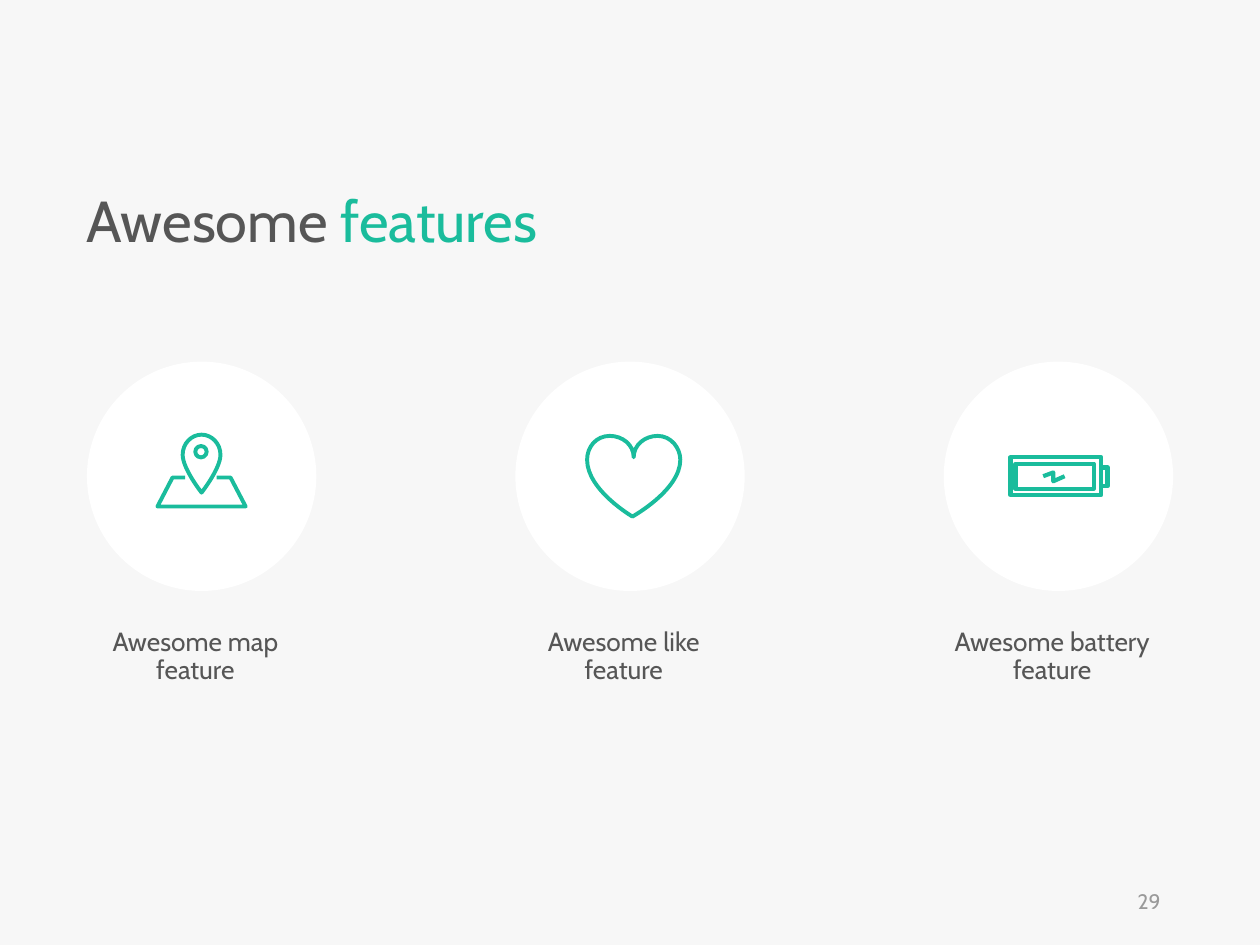
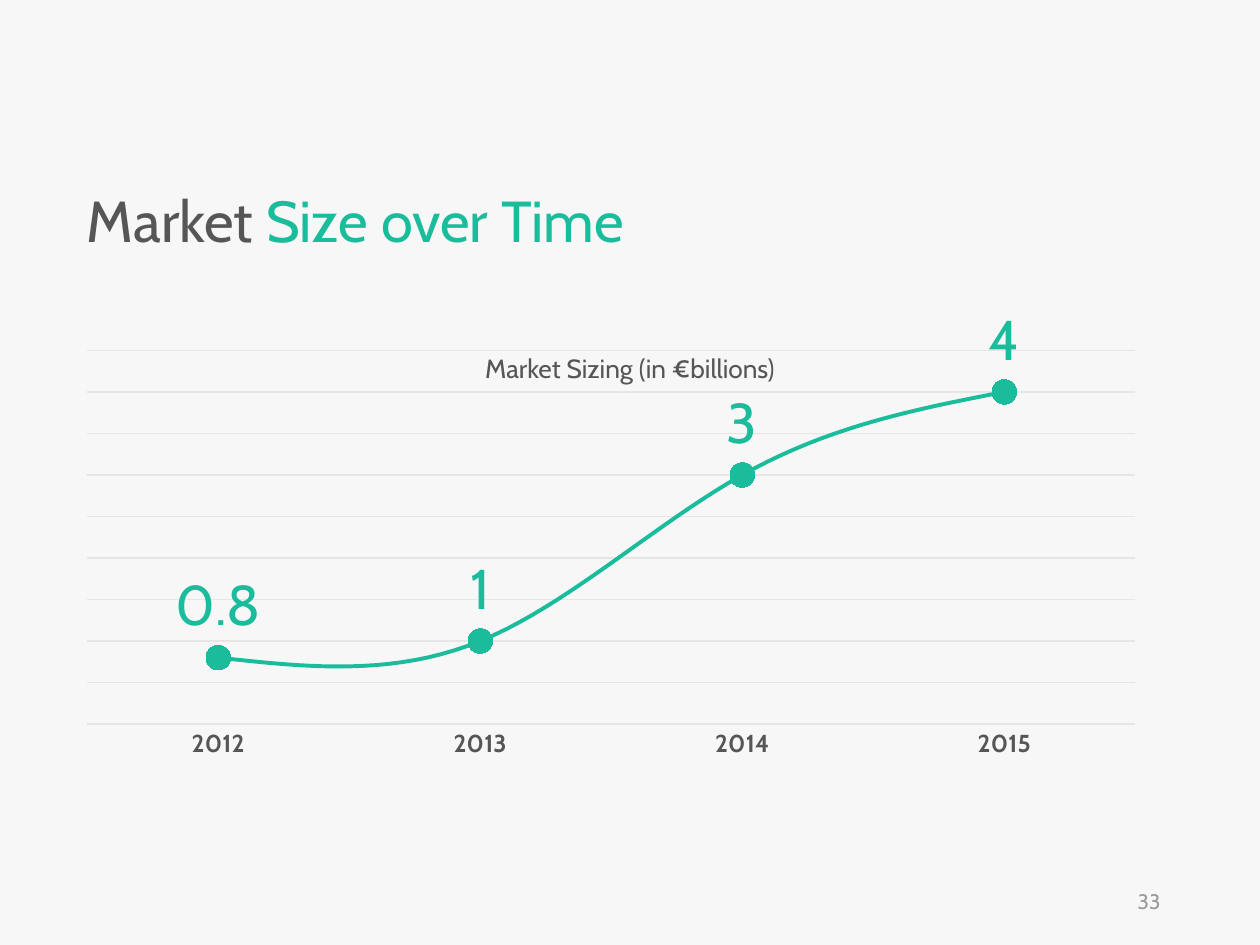
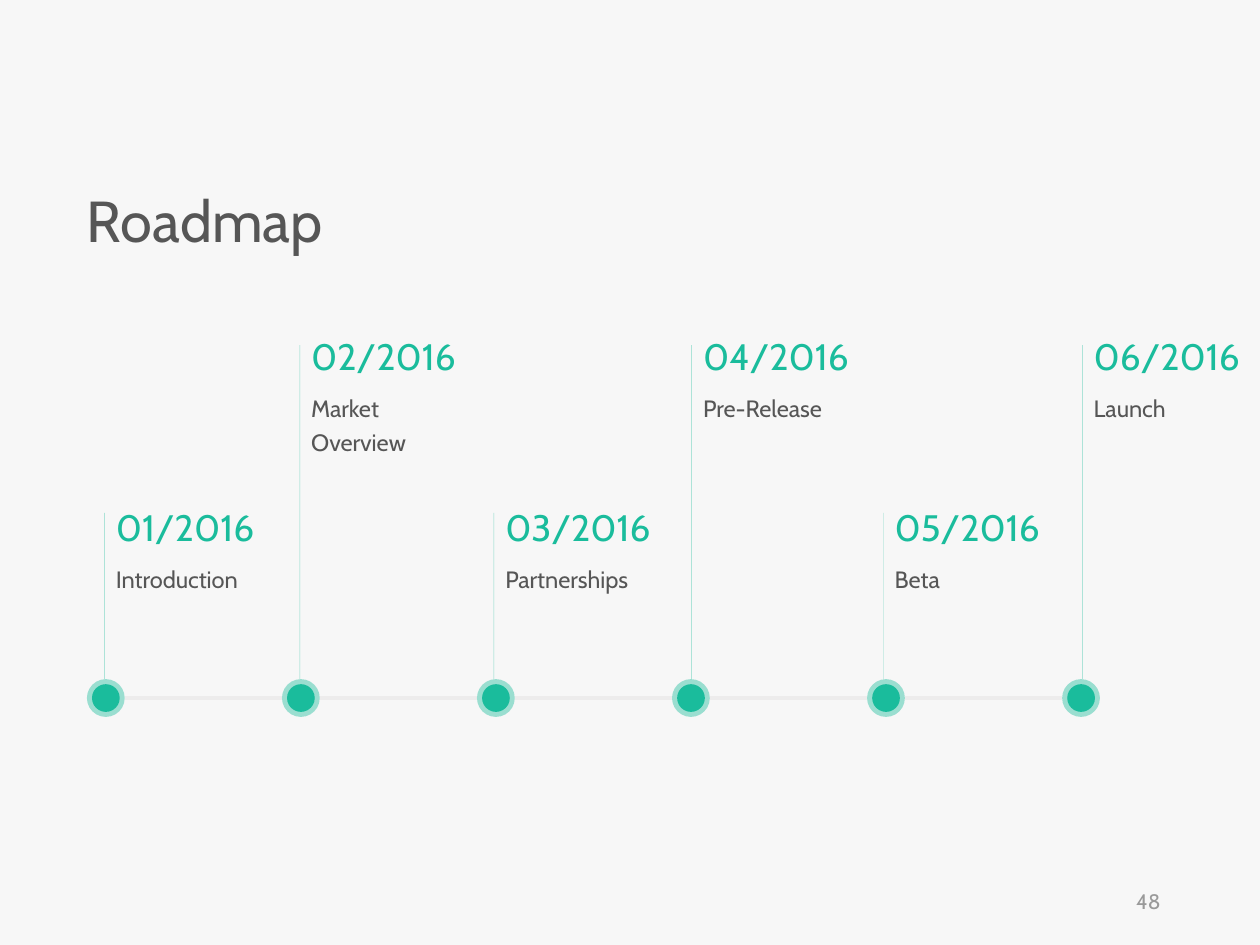
"""Build three pitch slides: features, market size and roadmap."""
from lxml import etree
from pptx import Presentation
from pptx.chart.data import CategoryChartData
from pptx.dml.color import RGBColor
from pptx.enum.chart import XL_CHART_TYPE, XL_LABEL_POSITION, XL_MARKER_STYLE, XL_TICK_MARK
from pptx.enum.shapes import MSO_CONNECTOR, MSO_SHAPE
from pptx.enum.text import MSO_ANCHOR, MSO_AUTO_SIZE, PP_ALIGN
from pptx.oxml.ns import qn
from pptx.util import Inches, Pt

OVAL, RECT = MSO_SHAPE.OVAL, MSO_SHAPE.RECTANGLE
STRAIGHT = MSO_CONNECTOR.STRAIGHT
LEFT, CENTER, RIGHT = PP_ALIGN.LEFT, PP_ALIGN.CENTER, PP_ALIGN.RIGHT
TOP, MIDDLE = MSO_ANCHOR.TOP, MSO_ANCHOR.MIDDLE
GROW, FIXED = MSO_AUTO_SIZE.SHAPE_TO_FIT_TEXT, MSO_AUTO_SIZE.NONE
NO_TICK = XL_TICK_MARK.NONE
LINES = XL_CHART_TYPE.LINE_MARKERS
ROUND = XL_MARKER_STYLE.CIRCLE
ABOVE = XL_LABEL_POSITION.ABOVE

TEAL = RGBColor(0x1A, 0xBC, 0x9C)
DARK = RGBColor(0x56, 0x56, 0x56)
GRAY = RGBColor(0x9A, 0x9A, 0x9A)
GRID = RGBColor(0xE6, 0xE6, 0xE6)
TRACK = RGBColor(0xED, 0xEC, 0xEC)
PALE = RGBColor(0xF7, 0xF7, 0xF7)
WHITE = RGBColor(0xFF, 0xFF, 0xFF)
FACE = "Cabin"
EDGE = 0.69

PIN = dict(
    weight=2.25,
    shapes=[(OVAL, (1.55, 3.54, 0.09, 0.09))],
    curves=[[(1.75, 3.61),
             (1.75, 3.52), (1.68, 3.45), (1.6, 3.45),
             (1.52, 3.45), (1.45, 3.52), (1.45, 3.61),
             (1.45, 3.72), (1.6, 3.91), (1.6, 3.91),
             (1.6, 3.91), (1.75, 3.72), (1.75, 3.61)]],
    lines=[[(1.47, 3.79), (1.37, 3.79), (1.25, 4.02), (1.6, 4.02),
            (1.95, 4.02), (1.83, 3.79), (1.72, 3.79)]])
HEART = dict(
    weight=2.25,
    shapes=[],
    curves=[[(4.66, 3.65),
             (4.66, 3.89), (5.02, 4.1), (5.02, 4.1),
             (5.02, 4.1), (5.4, 3.89), (5.4, 3.65),
             (5.4, 3.56), (5.33, 3.46), (5.22, 3.46),
             (5.12, 3.46), (5.03, 3.53), (5.03, 3.63),
             (5.03, 3.53), (4.94, 3.46), (4.84, 3.46),
             (4.73, 3.46), (4.66, 3.55), (4.66, 3.65)]],
    lines=[])
CELL = dict(
    weight=2.38,
    shapes=[(RECT, (8.02, 3.63, 0.72, 0.3)), (RECT, (8.06, 3.68, 0.62, 0.2))],
    curves=[],
    lines=[[(8.74, 3.71), (8.79, 3.71), (8.79, 3.86), (8.74, 3.86)],
           [(8.28, 3.78), (8.36, 3.75), (8.36, 3.82), (8.45, 3.78)]])
FEATURES = [("Awesome map feature", PIN), ("Awesome like feature", HEART),
            ("Awesome battery feature", CELL)]
MARKET = {"2012": 0.8, "2013": 1, "2014": 3, "2015": 4}
PLOT = dict(layoutTarget="inner", xMode="edge", yMode="edge",
            x=0.02, y=0.112, w=0.965, h=0.753)
STEPS = [("01/2016", "Introduction", 0.83, 0.35),
         ("02/2016", "Market Overview", 2.38, 0.62),
         ("03/2016", "Partnerships", 3.92, 0.35),
         ("04/2016", "Pre-Release", 5.49, 0.35),
         ("05/2016", "Beta", 7.01, 0.35),
         ("06/2016", "Launch", 8.59, 0.35)]


def apply(target, **values):
    for key, value in values.items():
        setattr(target, key, value)


def style(font, size, color, **more):
    apply(font, name=FACE, size=Pt(size), **more)
    font.color.rgb = color


def place(shape, box):
    apply(shape, **dict(zip(("left", "top", "width", "height"), map(Inches, box))))


def write(shape, runs, size, align=LEFT, inset=0.1, anchor=TOP, fit=GROW, **lines):
    frame = shape.text_frame
    apply(frame, word_wrap=True, auto_size=fit, vertical_anchor=anchor,
          margin_left=Inches(inset), margin_right=Inches(0.1),
          margin_top=Inches(0.05), margin_bottom=Inches(0.05))
    para = frame.paragraphs[0]
    apply(para, alignment=align, **lines)
    for text, color in runs:
        run = para.add_run()
        run.text = text
        style(run.font, size, color)


def label(slide, box, text, size, color=DARK, **more):
    write(slide.shapes.add_textbox(*map(Inches, box)), [(text, color)], size, **more)


def fade(shape, percent):
    color = shape.element.spPr.find(".//" + qn("a:srgbClr"))
    etree.SubElement(color, qn("a:alpha"), val=str(percent * 1000))


def solid(shapes, box, color):
    shape = shapes.add_shape(OVAL, *map(Inches, box))
    shape.shadow.inherit = False
    shape.fill.solid()
    shape.fill.fore_color.rgb = color
    shape.line.fill.background()
    return shape


def rule(shapes, start, end, color, weight):
    line = shapes.add_connector(STRAIGHT, *map(Inches, start + end))
    line.line.color.rgb = color
    line.line.width = Pt(weight)
    etree.SubElement(line.element.spPr, qn("a:effectLst"))
    return line


def outline(shape, weight):
    shape.shadow.inherit = False
    shape.fill.background()
    shape.line.color.rgb = TEAL
    shape.line.width = Pt(weight)


def trace(shapes, points, close):
    first, *rest = [tuple(map(Inches, point)) for point in points]
    form = shapes.build_freeform(*first)
    form.add_line_segments(rest, close=close)
    return form.convert_to_shape()


def bend(shape):
    """Turn each three straight segments into one cubic curve."""
    legs = list(shape.element.iter(qn("a:lnTo")))
    for i in range(0, len(legs), 3):
        curve = etree.Element(qn("a:cubicBezTo"))
        legs[i].addprevious(curve)
        for leg in legs[i:i + 3]:
            curve.append(leg[0])
            leg.getparent().remove(leg)


def draw(slide, icon):
    parts = [icon[key] for key in ("shapes", "curves", "lines")]
    shapes = slide.shapes
    if sum(map(len, parts)) > 1:
        shapes = shapes.add_group_shape().shapes
    drawn = [shapes.add_shape(kind, *map(Inches, box)) for kind, box in icon["shapes"]]
    for points in icon["curves"]:
        drawn.append(trace(shapes, points, True))
        bend(drawn[-1])
    drawn += [trace(shapes, points, False) for points in icon["lines"]]
    for shape in drawn:
        outline(shape, icon["weight"])


def start(deck, runs, number, width=3.68):
    slide = deck.slides.add_slide(deck.slide_layouts[5])
    title = slide.shapes.title
    place(title, (EDGE, 1.48, width, 0.6))
    write(title, runs, 33, inset=0, line_spacing=0.9, space_before=Pt(10))
    label(slide, (7.06, 6.95, 2.25, 0.4), number, 12, GRAY,
          align=RIGHT, anchor=MIDDLE, fit=FIXED)
    return slide


def features(deck):
    slide = start(deck, [("Awesome ", DARK), ("features", TEAL)], "29")
    for i, (text, icon) in enumerate(FEATURES):
        left = EDGE + 3.4 * i
        solid(slide.shapes, (left, 2.87, 1.82, 1.82), WHITE)
        draw(slide, icon)
        label(slide, (left + 0.08, 4.94, 1.66, 0.56), text, 15,
              align=CENTER, inset=0, line_spacing=0.9)


def market(deck):
    slide = start(deck, [("Market ", DARK), ("Size over Time", TEAL)], "33", 5.1)
    data = CategoryChartData()
    data.categories = list(MARKET)
    data.add_series("Series 1", list(MARKET.values()))
    box = map(Inches, (0.52, 2.34, 8.62, 3.94))
    chart = slide.shapes.add_chart(LINES, *box, data).chart
    apply(chart, has_legend=False, has_title=False)
    style(chart.font, 10, DARK)
    years, scale = chart.category_axis, chart.value_axis
    apply(years, major_tick_mark=NO_TICK, minor_tick_mark=NO_TICK)
    style(years.tick_labels.font, 14, DARK, bold=True)
    apply(scale, visible=False, minimum_scale=0, maximum_scale=4.5,
          major_unit=0.5, has_major_gridlines=True)
    plot = chart.plots[0]
    plot.vary_by_categories = False
    series = plot.series[0]
    series.smooth = True
    for part, color, weight in ((years, GRID, 0.75), (scale.major_gridlines, GRID, 0.75),
                                (series, TEAL, 2.25)):
        part.format.line.color.rgb = color
        part.format.line.width = Pt(weight)
    mark = series.marker
    apply(mark, style=ROUND, size=14)
    mark.format.fill.solid()
    mark.format.fill.fore_color.rgb = TEAL
    mark.format.line.color.rgb = TEAL
    tags = series.data_labels
    apply(tags, show_value=True, position=ABOVE)
    style(tags.font, 32, TEAL)
    area = chart.element.find(".//" + qn("c:plotArea"))
    for old in area.findall(qn("c:layout")):
        area.remove(old)
    layout = etree.Element(qn("c:layout"))
    area.insert(0, layout)
    manual = etree.SubElement(layout, qn("c:manualLayout"))
    for key, value in PLOT.items():
        etree.SubElement(manual, qn("c:" + key), val=str(value))
    label(slide, (3.21, 2.75, 3.58, 0.35), "Market Sizing (in €billions)", 15, align=CENTER)


def roadmap(deck):
    slide = start(deck, [("Roadmap", DARK)], "48")
    pitch, size, core, axis = 7.74 / 5, 0.3, 0.22, 5.54
    for i, (date, text, stem, height) in enumerate(STEPS):
        left = EDGE + pitch * i
        head = 2.6 if i % 2 else 3.96
        foot = 2.74 if i % 2 else 4.07
        shapes = slide.shapes.add_group_shape().shapes
        fade(solid(shapes, (left, axis - size / 2, size, size), TEAL), 42)
        inner = left + (size - core) / 2
        solid(shapes, (inner, axis - core / 2, core, core), TEAL)
        if i < len(STEPS) - 1:
            rule(slide.shapes, (left + size, axis), (left + pitch, axis), TRACK, 2.25)
        fade(rule(slide.shapes, (stem, axis - size / 2), (stem, foot), TEAL, 0.25), 51)
        label(slide, (stem, head, 1.39, 0.45), date, 21, TEAL, inset=0.09)
        label(slide, (stem, head + 0.43, 1.39, height), text, 13.5,
              inset=0.09, line_spacing=1.2)


def main():
    deck = Presentation()
    apply(deck, slide_width=Inches(10), slide_height=Inches(7.5))
    back = deck.slide_master.background.fill
    back.solid()
    back.fore_color.rgb = PALE
    for build in (features, market, roadmap):
        build(deck)
    deck.save("out.pptx")


if __name__ == "__main__":
    main()
